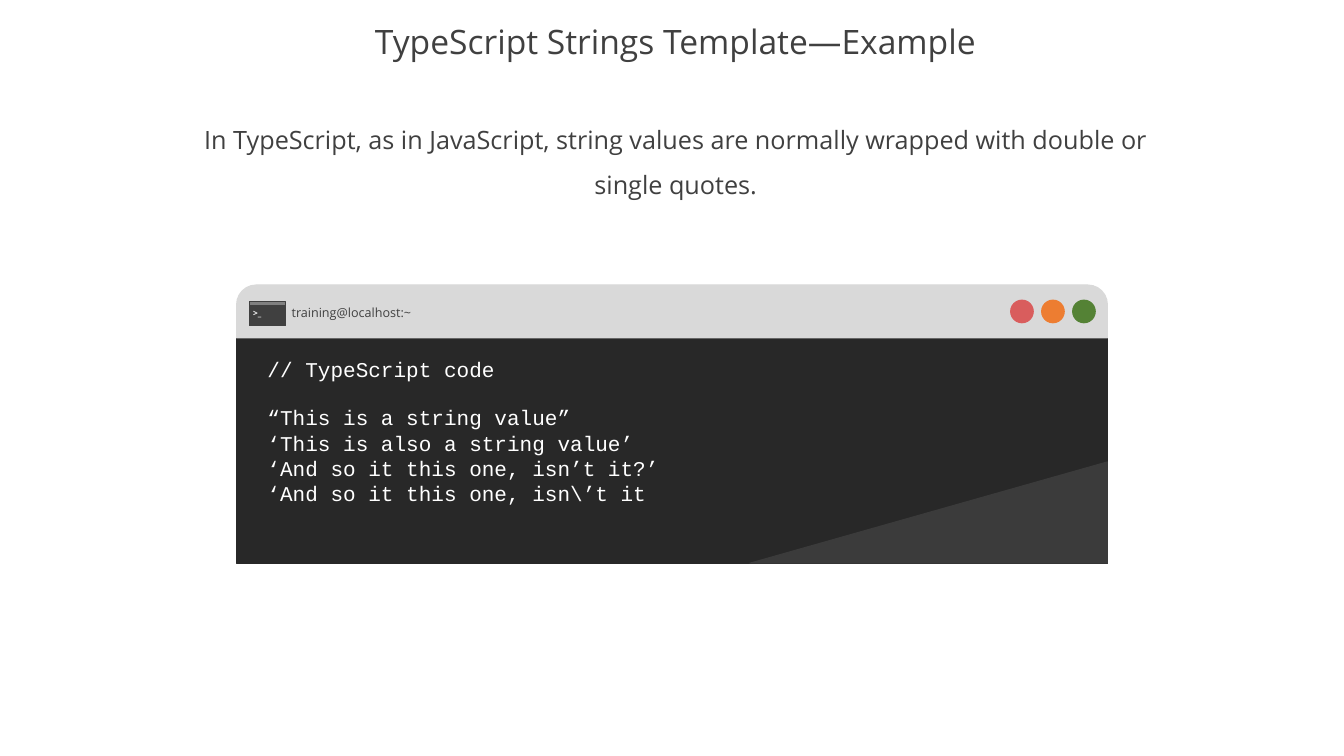
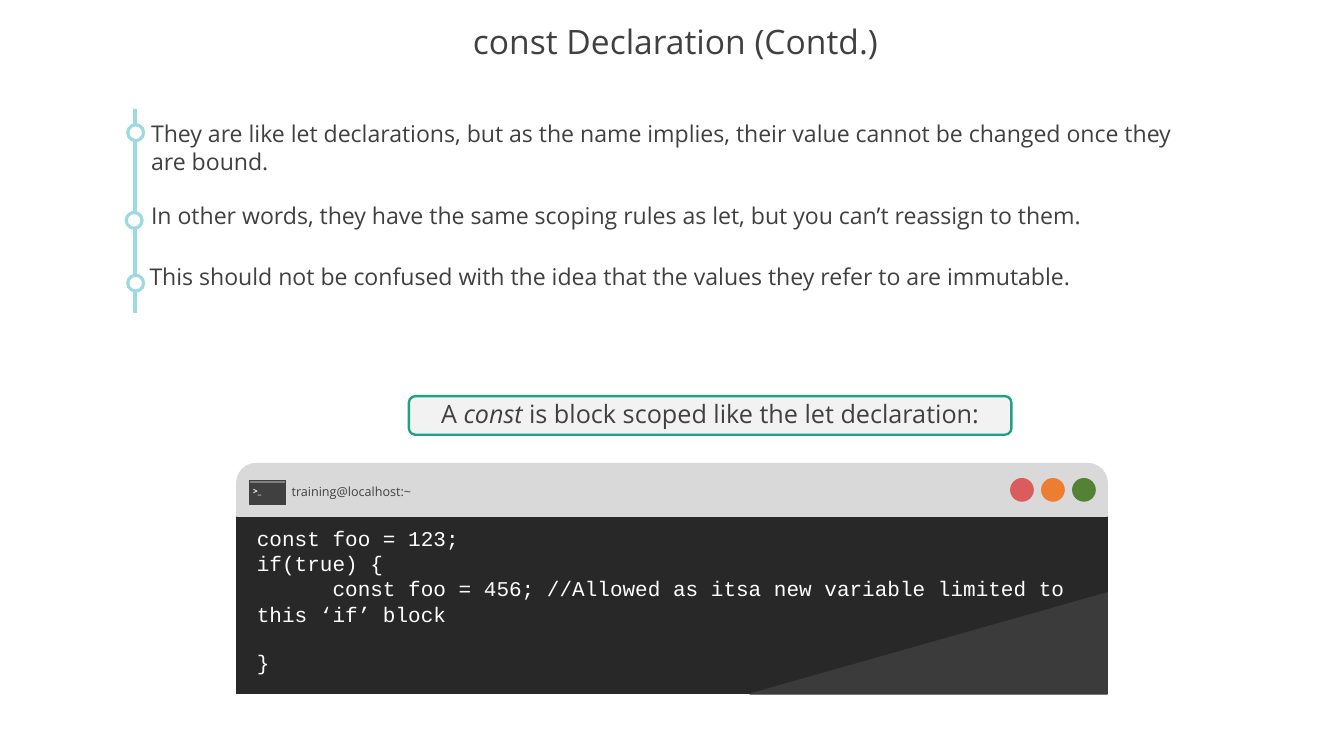
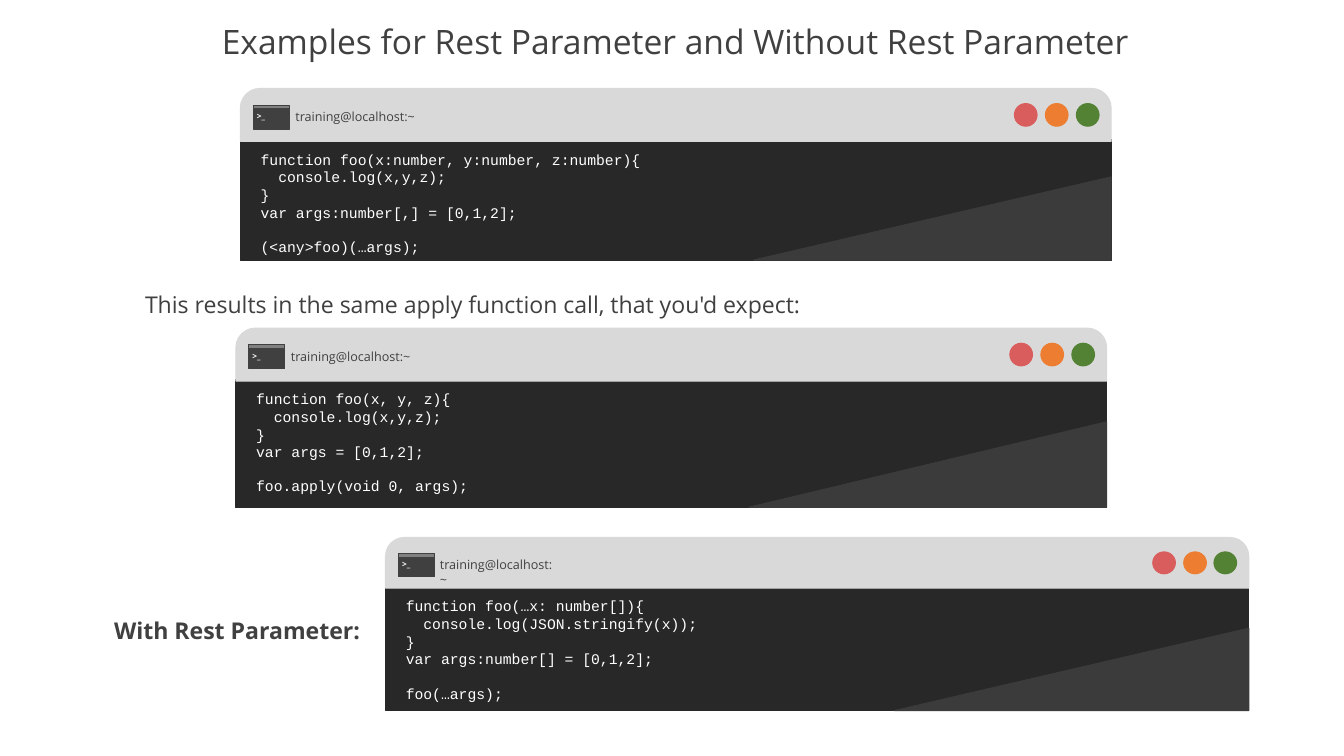
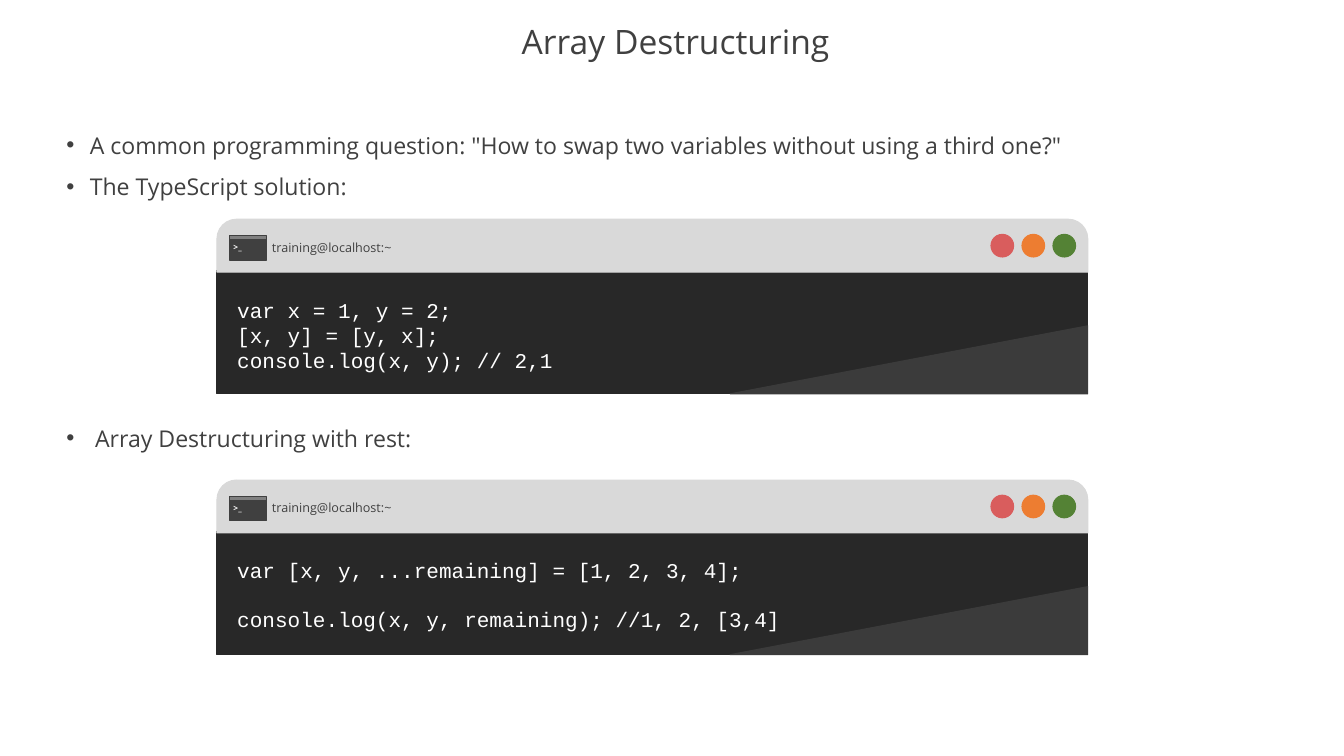
from dataclasses import dataclass

from lxml.etree import SubElement
from pptx import Presentation
from pptx.dml.color import RGBColor
from pptx.enum.shapes import MSO_SHAPE
from pptx.enum.text import MSO_ANCHOR, MSO_AUTO_SIZE, PP_ALIGN
from pptx.oxml.ns import qn
from pptx.util import Emu, Pt

PX = 9144
SLIDE_W, SLIDE_H = 1778, 1000
TERMINAL_W, BAR_H = 1152, 70
COURIER_LINE = 1.13
SANS, MONO = "Open Sans", "Courier New"

COLORS = {
    "text": "404040",
    "white": "FFFFFF",
    "screen": "282828",
    "glare": "3B3B3B",
    "bar": "D9D9D9",
    "red": "D95D5D",
    "orange": "ED7D31",
    "green": "548235",
    "strip": "808080",
    "timeline": "9BDAE3",
    "callout": "F2F2F2",
    "callout_line": "1EA185",
}

STRING_CODE = """// TypeScript code

“This is a string value”
‘This is also a string value’
‘And so it this one, isn’t it?’
‘And so it this one, isn\\’t it"""

CONST_CODE = """const foo = 123;
if(true) {
      const foo = 456; //Allowed as itsa new variable limited to this ‘if’ block

}"""

SPREAD_CODE = """function foo(x:number, y:number, z:number){
  console.log(x,y,z);
}
var args:number[,] = [0,1,2];

(<any>foo)(…args);"""

APPLY_CODE = """function foo(x, y, z){
  console.log(x,y,z);
}
var args = [0,1,2];

foo.apply(void 0, args);"""

REST_CODE = """function foo(…x: number[]){
  console.log(JSON.stringify(x));
}
var args:number[] = [0,1,2];

foo(…args);"""

SWAP_CODE = """var x = 1, y = 2;
[x, y] = [y, x];
console.log(x, y); // 2,1"""

REMAINING_CODE = """var [x, y, ...remaining] = [1, 2, 3, 4];

console.log(x, y, remaining); //1, 2, [3,4]"""


@dataclass(frozen=True)
class Box:
    left: int
    top: int
    width: int
    height: int

    def emu(self) -> list[Emu]:
        return [Emu(v * PX) for v in (self.left, self.top, self.width, self.height)]


@dataclass(frozen=True)
class Style:
    size: int
    font: str = SANS
    color: str = "text"
    bold: bool = False
    align: PP_ALIGN | None = None
    spacing: float | None = None
    bullet_indent: int = 0
    wrap: bool = True
    centered_box: bool = False


@dataclass(frozen=True)
class Terminal:
    left: int
    top: int
    screen_h: int
    glare_h: int
    code: str
    size: int
    code_h: int
    code_x: int = 17
    code_y: int = 77
    width: int = TERMINAL_W
    bar_h: int = BAR_H

    def box(self, x: int, y: int, w: int, h: int) -> Box:
        kx, ky = self.width / TERMINAL_W, self.bar_h / BAR_H
        return Box(self.left + round(x * kx), self.top + round(y * ky),
                   round(w * kx), round(h * ky))


@dataclass(frozen=True)
class Milestone:
    text: str
    box: Box
    dot_left: int
    dot_top: int


TITLE = Style(32, align=PP_ALIGN.CENTER, spacing=0.9, centered_box=True)
INTRO = Style(24, align=PP_ALIGN.CENTER, spacing=1.5, centered_box=True)
BODY = Style(22)
LABEL = Style(22, wrap=False)
BOLD_LABEL = Style(22, bold=True, wrap=False)
BULLETS = Style(22, spacing=1.5, bullet_indent=31)
WIDE_BULLET = Style(22, bullet_indent=38)
BAR_TITLE = Style(12, wrap=False)
PROMPT = Style(8, color="white", bold=True, wrap=False)


def rgb(name: str) -> RGBColor:
    return RGBColor.from_string(COLORS[name])


def paint(shape, fill: str, line: str | None = None, width: float = 1) -> None:
    shape.shadow.inherit = False
    shape.fill.solid()
    shape.fill.fore_color.rgb = rgb(fill)
    if line:
        shape.line.color.rgb = rgb(line)
        shape.line.width = Pt(width)
    else:
        shape.line.fill.background()


def add_preset(shapes, kind: MSO_SHAPE, box: Box, fill: str,
               line: str | None = None, width: float = 1):
    sp = shapes.add_shape(kind, *box.emu())
    paint(sp, fill, line, width)
    return sp


def add_bullet(p, indent: int) -> None:
    pPr = p._p.get_or_add_pPr()
    pPr.set("marL", str(indent * PX))
    pPr.set("indent", str(-indent * PX))
    SubElement(pPr, qn("a:buFont")).set("typeface", "Arial")
    SubElement(pPr, qn("a:buChar")).set("char", "•")


def format_paragraph(p, style: Style) -> None:
    if style.bullet_indent:
        add_bullet(p, style.bullet_indent)
    if style.align is not None:
        p.alignment = style.align
    if style.spacing:
        p.line_spacing = style.spacing
    for r in p.runs:
        r.font.name = style.font
        r.font.size = Pt(style.size)
        r.font.bold = style.bold
        r.font.color.rgb = rgb(style.color)


def add_text(shapes, box: Box, text: str, style: Style):
    tf = shapes.add_textbox(*box.emu()).text_frame
    tf.word_wrap = style.wrap
    if style.centered_box:
        tf.vertical_anchor = MSO_ANCHOR.MIDDLE
        tf.margin_top = tf.margin_right = tf.margin_bottom = 0
    else:
        tf.auto_size = MSO_AUTO_SIZE.SHAPE_TO_FIT_TEXT
    tf.text = text
    for p in tf.paragraphs:
        format_paragraph(p, style)
    return tf


def add_code(shapes, box: Box, code: str, size: int) -> None:
    lines = code.split("\n")
    tf = add_text(shapes, box, "\n".join(filter(None, lines)),
                  Style(size, MONO, "white"))
    after_gap = [not before for before, line in zip(["start"] + lines, lines) if line]
    for p, gap in zip(tf.paragraphs, after_gap):
        if gap:
            p.space_before = Pt(round(size * COURIER_LINE, 1))


def add_terminal(s, t: Terminal) -> None:
    shapes = s.shapes.add_group_shape().shapes
    screen = Box(t.left, t.box(0, 68, 0, 0).top, t.width, t.screen_h)
    add_preset(shapes, MSO_SHAPE.RECTANGLE, screen, "screen", "screen")

    right, bottom = t.left + t.width, screen.top + t.screen_h
    start = t.box(679, 0, 0, 0).left
    builder = shapes.build_freeform(right * PX, (bottom - t.glare_h) * PX)
    builder.add_line_segments([(right * PX, bottom * PX), (start * PX, bottom * PX)])
    paint(builder.convert_to_shape(), "glare", "glare")

    bar = add_preset(shapes, MSO_SHAPE.ROUND_2_SAME_RECTANGLE,
                     t.box(0, 0, TERMINAL_W, BAR_H), "bar", "bar")
    bar.adjustments[0], bar.adjustments[1] = 0.37, 0
    for i, color in enumerate(("red", "orange", "green")):
        add_preset(shapes, MSO_SHAPE.OVAL, t.box(1024 + 41 * i, 20, 30, 30), color, color)

    add_text(shapes, t.box(63, 22, 180, 30), "training@localhost:~", BAR_TITLE)
    add_preset(shapes, MSO_SHAPE.RECTANGLE, t.box(17, 27, 48, 27), "text", "text")
    add_preset(shapes, MSO_SHAPE.RECTANGLE, t.box(17, 22, 48, 5), "strip", "text")
    add_text(shapes, t.box(12, 25, 31, 24), ">_", PROMPT)

    code = t.box(t.code_x, t.code_y, 1089, 0)
    add_code(shapes, Box(code.left, code.top, code.width, t.code_h), t.code, t.size)


def add_callout(s, box: Box, parts: list[tuple[str, bool]]) -> None:
    sp = add_preset(s.shapes, MSO_SHAPE.ROUNDED_RECTANGLE, box,
                    "callout", "callout_line", 2.25)
    tf = sp.text_frame
    tf.word_wrap = True
    tf.vertical_anchor = MSO_ANCHOR.MIDDLE
    p = tf.paragraphs[0]
    for text, italic in parts:
        r = p.add_run()
        r.text = text
        r.font.italic = italic
    format_paragraph(p, Style(24, align=PP_ALIGN.CENTER, spacing=0.9))


def add_timeline(s, line: Box, milestones: list[Milestone]) -> None:
    add_preset(s.shapes, MSO_SHAPE.RECTANGLE, line, "timeline")
    for m in milestones:
        add_preset(s.shapes, MSO_SHAPE.OVAL, Box(m.dot_left, m.dot_top, 21, 21),
                   "white", "timeline", 3)
        add_text(s.shapes, m.box, m.text, BODY)


def add_slide(prs, title: str):
    s = prs.slides.add_slide(prs.slide_layouts[6])
    add_text(s.shapes, Box(0, 21, SLIDE_W, 73), title, TITLE)
    return s


def build_strings(prs) -> None:
    s = add_slide(prs, "TypeScript Strings Template—Example")
    add_text(s.shapes, Box(232, 136, 1314, 137),
             "In TypeScript, as in JavaScript, string values are normally wrapped "
             "with double or single quotes.", INTRO)
    add_terminal(s, Terminal(313, 377, 300, 134, STRING_CODE, 20, 212,
                             code_x=31, code_y=89))


def build_const(prs) -> None:
    s = add_slide(prs, "const Declaration (Contd.)")
    add_callout(s, Box(541, 524, 797, 51), [
        ("A ", False),
        ("const", True),
        (" is block scoped like the let declaration:", False),
    ])
    add_timeline(s, Box(176, 144, 5, 270), [
        Milestone("They are like let declarations, but as the name implies, their value "
                  "cannot be changed once they are bound.",
                  Box(190, 153, 1370, 84), 169, 165),
        Milestone("In other words, they have the same scoping rules as let, "
                  "but you can’t reassign to them.",
                  Box(190, 261, 1504, 47), 167, 281),
        Milestone("This should not be confused with the idea that the values "
                  "they refer to are immutable.",
                  Box(188, 342, 1504, 47), 169, 364),
    ])
    add_terminal(s, Terminal(313, 613, 237, 134, CONST_CODE, 20, 212))


def build_rest(prs) -> None:
    s = add_slide(prs, "Examples for Rest Parameter and Without Rest Parameter")
    add_text(s.shapes, Box(182, 379, 899, 47),
             "This results in the same apply function call, that you'd expect:", LABEL)
    add_text(s.shapes, Box(141, 810, 349, 47), "With Rest Parameter:", BOLD_LABEL)
    for t in (
        Terminal(318, 117, 159, 110, SPREAD_CODE, 14, 151),
        Terminal(312, 434, 169, 113, APPLY_CODE, 14, 151),
        Terminal(510, 711, 164, 109, REST_CODE, 14, 146, width=1142, bar_h=67),
    ):
        add_terminal(s, t)


def build_arrays(prs) -> None:
    s = add_slide(prs, "Array Destructuring")
    add_text(s.shapes, Box(78, 150, 1545, 121),
             'A common programming question: "How to swap two variables '
             'without using a third one?"\nThe TypeScript solution:', BULLETS)
    add_text(s.shapes, Box(78, 556, 622, 47), "Array Destructuring with rest:", WIDE_BULLET)
    for top, code in ((290, SWAP_CODE), (635, REMAINING_CODE)):
        add_terminal(s, Terminal(287, top, 163, 90, code, 20, 111, code_y=98))


def main() -> None:
    prs = Presentation()
    prs.slide_width, prs.slide_height = Emu(SLIDE_W * PX), Emu(SLIDE_H * PX)
    for build in (build_strings, build_const, build_rest, build_arrays):
        build(prs)
    prs.save("out.pptx")


if __name__ == "__main__":
    main()
